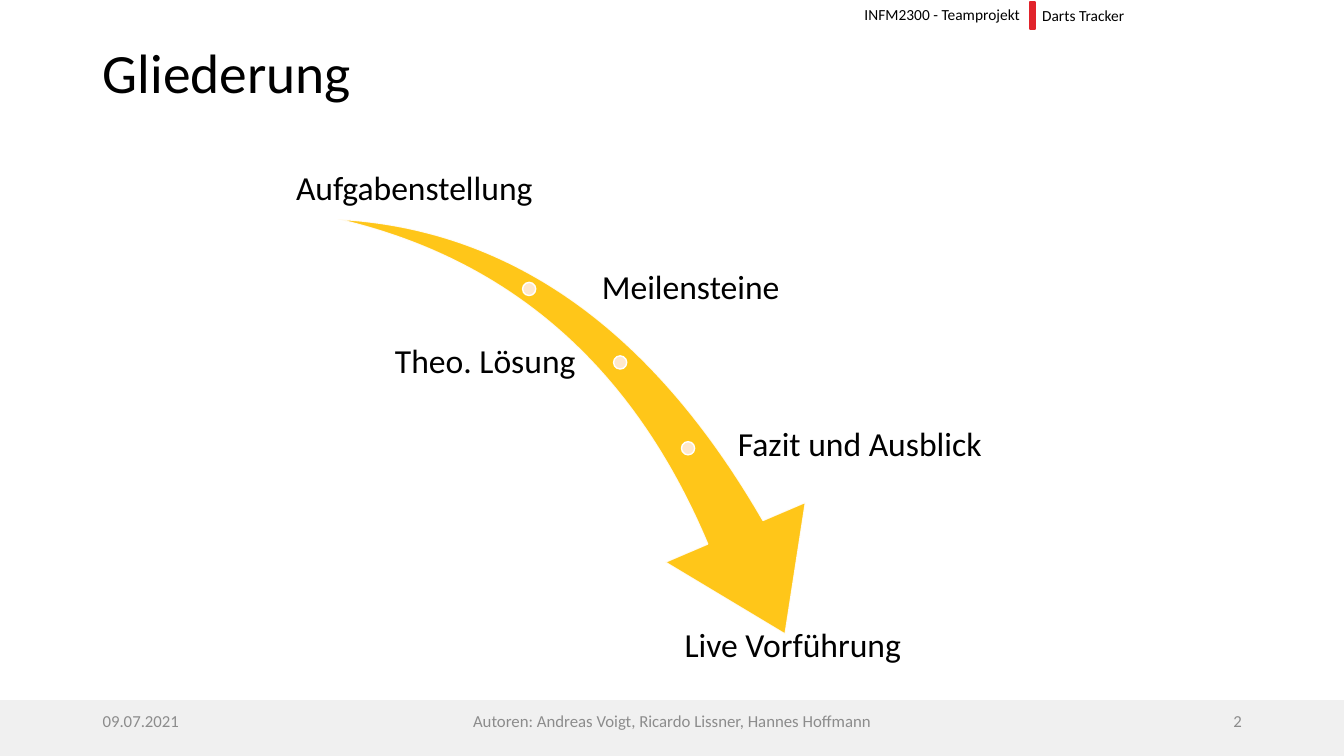
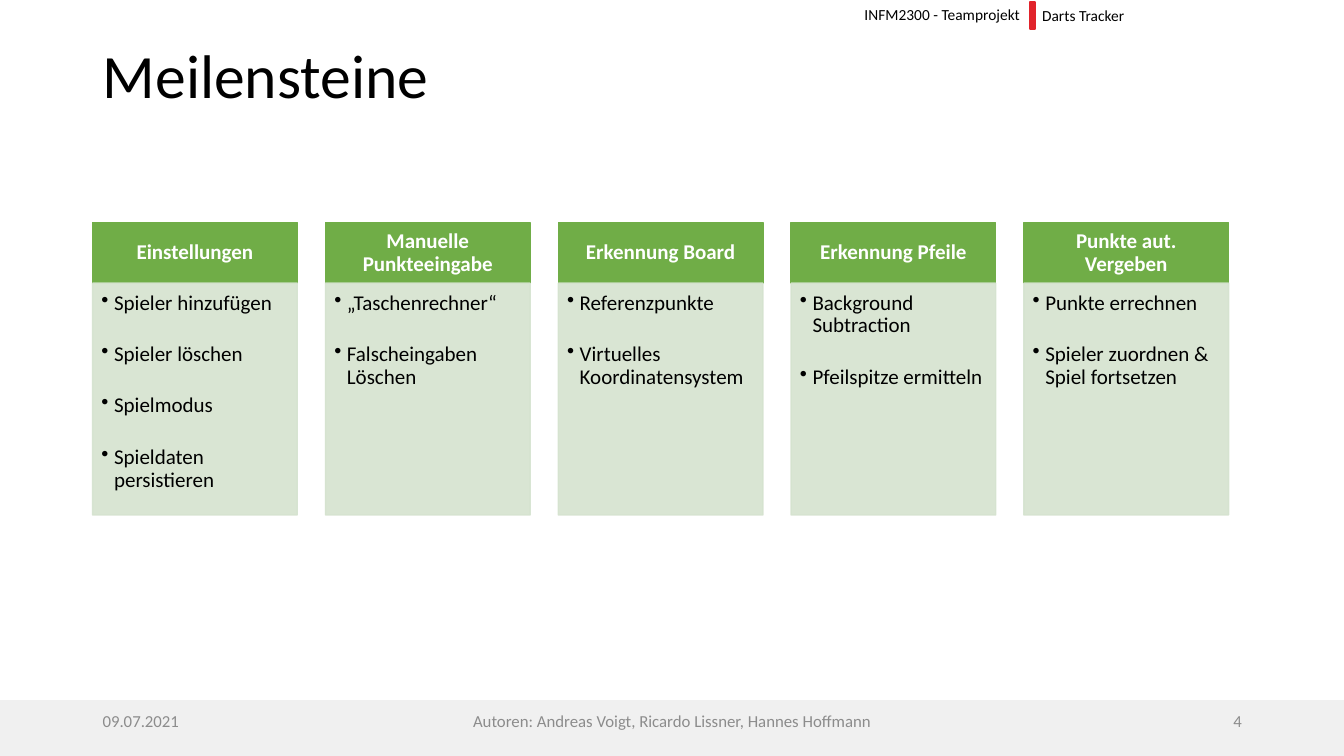
from lxml import etree
from pptx import Presentation
from pptx.dml.color import RGBColor
from pptx.enum.shapes import MSO_SHAPE
from pptx.enum.text import MSO_ANCHOR, MSO_AUTO_SIZE, PP_ALIGN
from pptx.oxml.ns import qn
from pptx.util import Pt

RECTANGLE, ELLIPSE, SWOOSH = MSO_SHAPE.RECTANGLE, MSO_SHAPE.OVAL, MSO_SHAPE.SWOOSH_ARROW
LEFT, CENTER, RIGHT = PP_ALIGN.LEFT, PP_ALIGN.CENTER, PP_ALIGN.RIGHT
TOP, MIDDLE, BOTTOM = MSO_ANCHOR.TOP, MSO_ANCHOR.MIDDLE, MSO_ANCHOR.BOTTOM
NO_AUTOFIT = MSO_AUTO_SIZE.NONE

BLACK = RGBColor(0x00, 0x00, 0x00)
WHITE = RGBColor(0xFF, 0xFF, 0xFF)
BAND_GRAY = RGBColor(0xF0, 0xF0, 0xF0)
FOOTER_GRAY = RGBColor(0x8C, 0x8C, 0x8C)
RED = RGBColor(0xE1, 0x23, 0x2B)
YELLOW = RGBColor(0xFF, 0xC0, 0x00)
CREAM = RGBColor(0xFF, 0xE8, 0xCC)
GREEN = RGBColor(0x70, 0xAD, 0x47)
PALE_GREEN = RGBColor(0xD5, 0xE3, 0xCF)

FONT = "Calibri"
TITLE_ONLY = 5
DATE = "09.07.2021"
AUTHORS = "Autoren: Andreas Voigt, Ricardo Lissner, Hannes Hoffmann"
DOTS = [(378, 206.4), (443, 258.9), (491.5, 320.2)]
DOT_SIZE = 9.4
LABELS = [
    ("Aufgabenstellung", (207.4, 80.6, 177.1, 69.8), CENTER, BOTTOM),
    ("Meilensteine", (427.7, 171.4, 258.5, 69.8), LEFT, MIDDLE),
    ("Theo. Lösung", (207.4, 223.9, 205.9, 69.8), RIGHT, MIDDLE),
    ("Fazit und Ausblick", (524.9, 283.7, 290.9, 69.8), LEFT, MIDDLE),
    ("Live Vorführung", (446.4, 446.4, 239.8, 69.8), CENTER, TOP),
]
MILESTONES = [
    ("Einstellungen", ["Spieler hinzufügen", "Spieler löschen", "Spielmodus", "Spieldaten persistieren"]),
    ("Manuelle Punkteeingabe", ["„Taschenrechner“", "Falscheingaben Löschen"]),
    ("Erkennung Board", ["Referenzpunkte", "Virtuelles Koordinatensystem"]),
    ("Erkennung Pfeile", ["Background Subtraction", "Pfeilspitze ermitteln"]),
    ("Punkte aut. Vergeben", ["Punkte errechnen", "Spieler zuordnen & Spiel fortsetzen"]),
]
COLUMN_LEFT, COLUMN_STEP, COLUMN_WIDTH = 66.2, 166.3, 146.2
HEAD_TOP, HEAD_HEIGHT, LIST_HEIGHT = 159.1, 43.2, 165.6


class SlideBuilder:
    """Holds the deck, its style and the current page."""

    def __init__(self):
        self.deck = Presentation()
        self.deck.slide_width, self.deck.slide_height = Pt(960), Pt(540)
        self.layout = self.deck.slide_layouts[TITLE_ONLY]
        self.page = None

    def new_page(self, title, title_size, number):
        self.page = self.deck.slides.add_slide(self.layout)
        if len(self.deck.slides) == 1:
            self.shared_parts()
        box = self.page.shapes.title
        box.left, box.top, box.width, box.height = map(Pt, (66.2, 28.8, 828, 104.4))
        box.text_frame.auto_size = NO_AUTOFIT
        self.fill_text(box, [title], title_size, BLACK, LEFT, TOP, spacing=0.9)
        footers = [(DATE, 66.2, 216, LEFT), (AUTHORS, 318.2, 324, CENTER), (str(number), 678.2, 216, RIGHT)]
        for text, left, width, align in footers:
            self.text(text, (left, 500.4, width, 28.8), 12, FOOTER_GRAY, align, MIDDLE)

    def shared_parts(self):
        parts = [
            self.shape(RECTANGLE, (0, 500.4, 960, 38.9), BAND_GRAY, BAND_GRAY),
            self.text("INFM2300 - Teamprojekt", (573.1, 0, 162.7, 20.9), 11, BLACK, RIGHT),
            self.shape(RECTANGLE, (735.8, 1.4, 3.6, 19.4), RED, RED),
            self.text("Darts Tracker", (737.3, 0.7, 150.5, 20.9), 11, BLACK),
        ]
        for part in parts:
            self.layout.shapes.element.append(part.element)

    def fill_text(self, box, lines, size, color, align=LEFT, anchor=TOP, bold=False,
                  spacing=None, margins=(7.2, 3.6, 7.2, 3.6)):
        frame = box.text_frame
        frame.word_wrap = True
        frame.vertical_anchor = anchor
        frame.margin_left, frame.margin_top, frame.margin_right, frame.margin_bottom = map(Pt, margins)
        for index, line in enumerate(lines):
            para = frame.add_paragraph() if index else frame.paragraphs[0]
            para.text = line
            para.alignment = align
            para.line_spacing = spacing
            font = para.font
            font.name, font.size, font.bold = FONT, Pt(size), bold
            font.color.rgb = color

    def text(self, line, bounds, size, color, align=LEFT, anchor=TOP, **style):
        box = self.page.shapes.add_textbox(*map(Pt, bounds))
        self.fill_text(box, [line], size, color, align, anchor, **style)
        return box

    def shape(self, kind, bounds, fill, line):
        shape = self.page.shapes.add_shape(kind, *map(Pt, bounds))
        shape.shadow.inherit = False
        shape.fill.solid()
        shape.fill.fore_color.rgb = fill
        shape.line.color.rgb = line
        shape.line.width = Pt(1)
        return shape

    def fade(self, shape, percent):
        for color in shape.element.spPr.iter(qn("a:srgbClr")):
            etree.SubElement(color, qn("a:alpha"), val=str(percent * 1000))

    def bullets(self, box, indent, gap):
        for para in box.text_frame.paragraphs:
            para.space_after = Pt(gap)
            properties = para._p.get_or_add_pPr()
            properties.set("marL", str(Pt(indent)))
            properties.set("indent", str(-Pt(indent)))
            bullet = etree.Element(qn("a:buChar"), char="•")
            properties.find(qn("a:defRPr")).addprevious(bullet)

    def swoosh(self, bounds, rotation, adjustments):
        arrow = self.shape(SWOOSH, bounds, YELLOW, WHITE)
        arrow.rotation = rotation
        for index, value in enumerate(adjustments):
            arrow.adjustments[index] = value
        self.fade(arrow, 90)

    def column(self, left, heading, items):
        head = self.shape(RECTANGLE, (left, HEAD_TOP, COLUMN_WIDTH, HEAD_HEIGHT), GREEN, GREEN)
        self.fill_text(head, [heading], 15, WHITE, CENTER, MIDDLE, bold=True, spacing=0.9,
                       margins=(8.4, 4.8, 8.4, 4.8))
        bounds = (left, HEAD_TOP + HEAD_HEIGHT, COLUMN_WIDTH, LIST_HEIGHT)
        body = self.shape(RECTANGLE, bounds, PALE_GREEN, PALE_GREEN)
        self.fade(body, 90)
        self.fill_text(body, items, 15, BLACK, spacing=0.9, margins=(6.3, 6.3, 8.4, 9.5))
        self.bullets(body, 9, 20.5)


def main():
    builder = SlideBuilder()

    builder.new_page("Gliederung", 39.6, 2)
    builder.swoosh((232.6, 167.8, 375.8, 262.1), 73.3, (0.163, 0.314))
    for x, y in DOTS:
        bounds = (x - DOT_SIZE / 2, y - DOT_SIZE / 2, DOT_SIZE, DOT_SIZE)
        builder.shape(ELLIPSE, bounds, CREAM, WHITE)
    for label, bounds, align, anchor in LABELS:
        builder.text(label, bounds, 24, BLACK, align, anchor, spacing=0.9, margins=(2.2,) * 4)

    builder.new_page("Meilensteine", 44, 4)
    for index, (heading, items) in enumerate(MILESTONES):
        builder.column(COLUMN_LEFT + index * COLUMN_STEP, heading, items)

    builder.deck.save("out.pptx")


if __name__ == "__main__":
    main()
